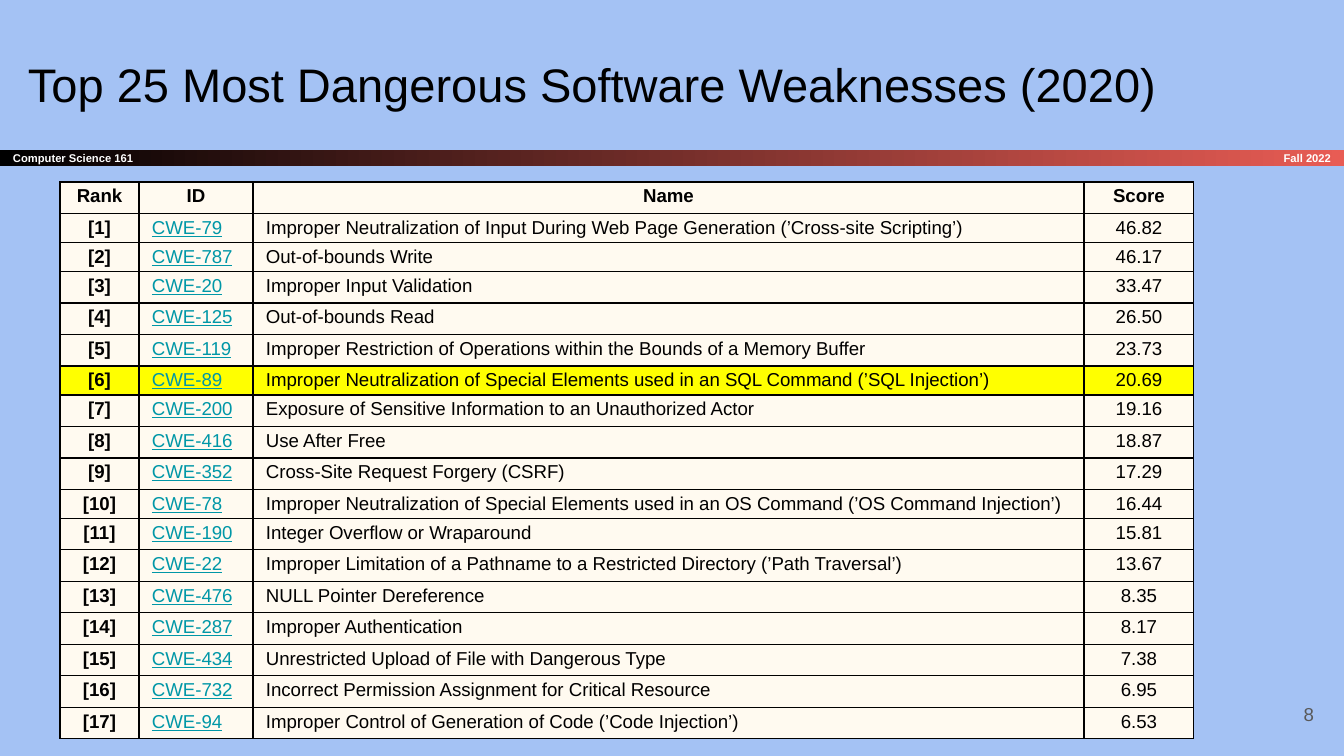
from pptx import Presentation
from pptx.dml.color import RGBColor
from pptx.enum.shapes import MSO_SHAPE
from pptx.enum.text import MSO_ANCHOR, MSO_AUTO_SIZE, PP_ALIGN
from pptx.oxml import parse_xml
from pptx.oxml.ns import nsdecls
from pptx.util import Pt

# Content
TITLE = "Top 25 Most Dangerous Software Weaknesses (2020)"
COURSE, TERM, PAGE = "Computer Science 161", "Fall 2022", "8"
HEADERS = ("Rank", "ID", "Name", "Score")
WEAKNESSES = [
    ("CWE-79", "Improper Neutralization of Input During Web Page Generation (’Cross-site Scripting’)", "46.82"),
    ("CWE-787", "Out-of-bounds Write", "46.17"),
    ("CWE-20", "Improper Input Validation", "33.47"),
    ("CWE-125", "Out-of-bounds Read", "26.50"),
    ("CWE-119", "Improper Restriction of Operations within the Bounds of a Memory Buffer", "23.73"),
    ("CWE-89", "Improper Neutralization of Special Elements used in an SQL Command (’SQL Injection’)", "20.69"),
    ("CWE-200", "Exposure of Sensitive Information to an Unauthorized Actor", "19.16"),
    ("CWE-416", "Use After Free", "18.87"),
    ("CWE-352", "Cross-Site Request Forgery (CSRF)", "17.29"),
    ("CWE-78", "Improper Neutralization of Special Elements used in an OS Command (’OS Command Injection’)", "16.44"),
    ("CWE-190", "Integer Overflow or Wraparound", "15.81"),
    ("CWE-22", "Improper Limitation of a Pathname to a Restricted Directory (’Path Traversal’)", "13.67"),
    ("CWE-476", "NULL Pointer Dereference", "8.35"),
    ("CWE-287", "Improper Authentication", "8.17"),
    ("CWE-434", "Unrestricted Upload of File with Dangerous Type", "7.38"),
    ("CWE-732", "Incorrect Permission Assignment for Critical Resource", "6.95"),
    ("CWE-94", "Improper Control of Generation of Code (’Code Injection’)", "6.53"),
]
HIGHLIGHTED_ROW = 6

# Layout in px
SCALE = 914400 / 134.4
TABLE_LEFT, TABLE_TOP, TABLE_HEIGHT = 60, 182, 557
COLUMN_WIDTHS = (79, 114, 831, 110)
SHORT_ROWS, SHORT_HEIGHT = (1, 2, 6, 10), 29
INSET = 13

BLACK, WHITE, GREY, TEAL = "000000", "FFFFFF", "595959", "0097A7"
SKY, CORAL, CREAM, YELLOW = "A4C2F4", "E85C54", "FFFAF0", "FFFF00"


def px(value):
    return round(value * SCALE)


def color(value):
    return RGBColor.from_string(value)


def write(frame, text, size=10, fill=BLACK, bold=False, underline=False,
          align=PP_ALIGN.LEFT):
    paragraph = frame.paragraphs[0]
    paragraph.alignment = align
    run = paragraph.add_run()
    run.text = text
    font = run.font
    font.name, font.size, font.bold = "Arial", Pt(size), bold
    font.underline = underline
    font.color.rgb = color(fill)


def prepare(frame, anchor=MSO_ANCHOR.MIDDLE):
    frame.word_wrap = True
    frame.auto_size = MSO_AUTO_SIZE.NONE
    frame.vertical_anchor = anchor
    frame.margin_left = frame.margin_right = px(INSET)
    frame.margin_top = frame.margin_bottom = px(INSET)


def add_label(slide, box, text, **text_format):
    label = slide.shapes.add_textbox(*map(px, box))
    prepare(label.text_frame)
    write(label.text_frame, text, **text_format)


def format_cell(cell, fill):
    cell.margin_left = cell.margin_right = px(INSET)
    cell.margin_top = cell.margin_bottom = px(4)
    properties = cell._tc.get_or_add_tcPr()
    for side in "LRTB":
        properties.append(parse_xml(
            f'<a:ln{side} {nsdecls("a")} w="{Pt(0.75)}"><a:solidFill>'
            f'<a:srgbClr val="{BLACK}"/></a:solidFill></a:ln{side}>'))
    cell.fill.solid()
    cell.fill.fore_color.rgb = color(fill)


def add_weakness_table(slide):
    rows = [HEADERS] + [(f"[{rank}]", *entry)
                        for rank, entry in enumerate(WEAKNESSES, 1)]
    tall_height = ((TABLE_HEIGHT - len(SHORT_ROWS) * SHORT_HEIGHT)
                   / (len(rows) - len(SHORT_ROWS)))
    table = slide.shapes.add_table(
        len(rows), len(HEADERS), px(TABLE_LEFT), px(TABLE_TOP),
        px(sum(COLUMN_WIDTHS)), px(TABLE_HEIGHT)).table
    for column, width in zip(table.columns, COLUMN_WIDTHS):
        column.width = px(width)
    for r, values in enumerate(rows):
        table.rows[r].height = px(SHORT_HEIGHT if r in SHORT_ROWS else tall_height)
        for name, cell, value in zip(HEADERS, table.rows[r].cells, values):
            is_header = r == 0
            is_link = name == "ID" and not is_header
            centred = is_header or name in ("Rank", "Score")
            format_cell(cell, YELLOW if r == HIGHLIGHTED_ROW else CREAM)
            write(cell.text_frame, value, bold=is_header or name == "Rank",
                  fill=TEAL if is_link else BLACK, underline=is_link,
                  align=PP_ALIGN.CENTER if centred else PP_ALIGN.LEFT)


def main():
    presentation = Presentation()
    presentation.slide_width, presentation.slide_height = px(1344), px(756)
    slide = presentation.slides.add_slide(presentation.slide_layouts[5])
    slide.background.fill.solid()
    slide.background.fill.fore_color.rgb = color(SKY)

    # Course bar
    bar = slide.shapes.add_shape(MSO_SHAPE.RECTANGLE, *map(px, (0, 150, 1344, 16)))
    bar.shadow.inherit = False
    bar.line.fill.background()
    bar.fill.gradient()
    bar.fill.gradient_angle = 0
    for stop, shade in zip(bar.fill.gradient_stops, (BLACK, CORAL)):
        stop.color.rgb = color(shade)
    prepare(bar.text_frame)
    write(bar.text_frame, COURSE, size=6, fill=WHITE, bold=True)
    add_label(slide, (1121, 150, 223, 16), TERM, size=6, fill=WHITE, bold=True,
              align=PP_ALIGN.RIGHT)

    # Title
    title = slide.shapes.title
    title.left, title.top, title.width, title.height = map(px, (15, 40, 1253, 85))
    prepare(title.text_frame, MSO_ANCHOR.BOTTOM)
    write(title.text_frame, TITLE, size=25.2)

    # Page number and table
    add_label(slide, (1246, 685, 81, 58), PAGE, fill=GREY, align=PP_ALIGN.RIGHT)
    add_weakness_table(slide)
    presentation.save("out.pptx")


if __name__ == "__main__":
    main()
